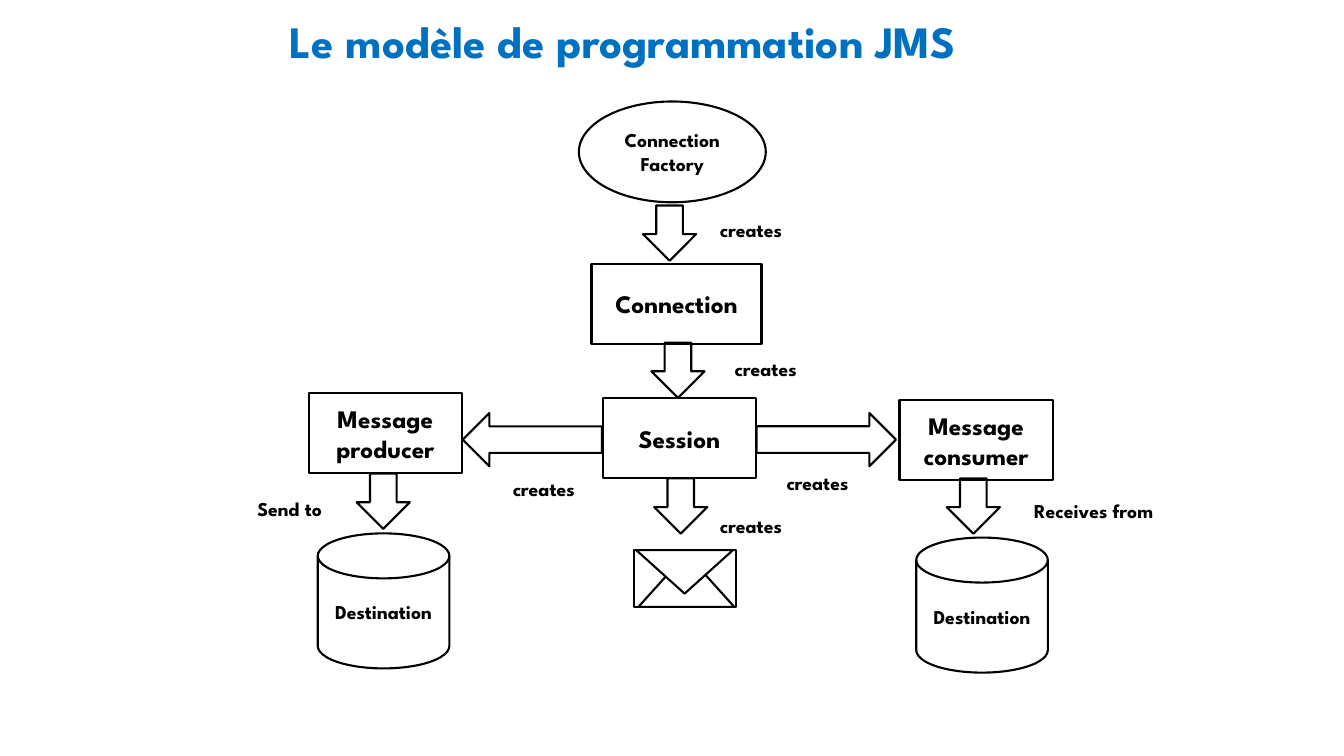
from dataclasses import dataclass

from pptx import Presentation
from pptx import util as u
from pptx.dml import color
from pptx.enum import shapes, text

SHAPE = shapes.MSO_SHAPE
ALIGN = text.PP_ALIGN


@dataclass(frozen=True)
class Theme:
    font: str = "League Spartan"
    black: str = "000000"
    blue: str = "0070C0"
    white: str = "FFFFFF"
    title: float = 32
    node: float = 18
    small: float = 14
    line: float = 1.5


T = Theme()


@dataclass(frozen=True)
class Figure:
    kind: SHAPE
    left: float
    top: float
    width: float
    height: float
    caption: str = ""
    size: float = T.node
    rotation: float = 0
    fill: str = ""


@dataclass(frozen=True)
class Label:
    caption: str
    left: float
    top: float
    width: float = 66
    height: float = 24.5
    size: float = T.small
    colour: str = T.black
    align: ALIGN = ALIGN.CENTER


def box(caption: str, left: float, top: float, width: float = 109.5) -> Figure:
    return Figure(SHAPE.RECTANGLE, left, top, width, 57, caption)


def destination(left: float, top: float) -> Figure:
    return Figure(SHAPE.FLOWCHART_MAGNETIC_DISK, left, top, 94, 96.5, "Destination", T.small)


def arrow(left: float, top: float, length: float = 39.5, rotation: float = 90) -> Figure:
    return Figure(SHAPE.RIGHT_ARROW, left, top, length, 38, rotation=rotation)


FIGURES = [
    # Objects of the programming model
    Figure(SHAPE.OVAL, 413.5, 72.5, 133.5, 72, "Connection Factory", T.small),
    box("Connection", 422.5, 188.5, 121.5),
    box("Session", 430.5, 284.5),
    box("Message producer", 220.5, 281),
    box("Message consumer", 642.5, 286),
    destination(227, 381),
    destination(654.5, 384),
    # Downward arrows
    *(arrow(x, y) for x, y in [(458.5, 147.5), (464.5, 245.5), (466.5, 342.5),
                               (254, 339), (675.5, 342.5)]),
    # Arrows from the session to both sides
    arrow(540.5, 295, 99.5, 0),
    arrow(330.5, 295, 99.5, 180),
    # Envelope: body, lower folds, flap
    Figure(SHAPE.FLOWCHART_PROCESS, 453, 393, 72.5, 40.5),
    Figure(SHAPE.ISOSCELES_TRIANGLE, 456, 395.5, 68.5, 38),
    Figure(SHAPE.ISOSCELES_TRIANGLE, 454.5, 393, 69, 31, rotation=180, fill=T.white),
]

LABELS = [
    Label("Le modèle de programmation JMS", 200, 6, 556, 46, T.title, T.blue, ALIGN.LEFT),
    *(Label("creates", x, y) for x, y in [(503.5, 152), (514, 251.5), (551, 332.5),
                                          (355.5, 337), (503.5, 363.5)]),
    Label("Receives from", 725.5, 353, 111.5),
    Label("Send to", 174, 351.5),
]


def write(tf, caption: str, size: float, colour: str, align: ALIGN) -> None:
    tf.word_wrap = True
    p = tf.paragraphs[0]
    p.alignment = align
    r = p.add_run()
    r.text = caption
    for name, value in {"name": T.font, "size": u.Pt(size), "bold": True}.items():
        setattr(r.font, name, value)
    r.font.color.rgb = color.RGBColor.from_string(colour)


def draw_figure(s, f: Figure) -> None:
    sp = s.shapes.add_shape(f.kind, *map(u.Pt, (f.left, f.top, f.width, f.height)))
    sp.rotation = f.rotation
    sp.shadow.inherit = False
    if f.fill:
        sp.fill.solid()
        sp.fill.fore_color.rgb = color.RGBColor.from_string(f.fill)
    else:
        sp.fill.background()
    sp.line.color.rgb = color.RGBColor.from_string(T.black)
    sp.line.width = u.Pt(T.line)
    if f.caption:
        sp.text_frame.vertical_anchor = text.MSO_ANCHOR.MIDDLE
        write(sp.text_frame, f.caption, f.size, T.black, ALIGN.CENTER)


def draw_label(s, label: Label) -> None:
    sp = s.shapes.add_textbox(*map(u.Pt, (label.left, label.top, label.width, label.height)))
    write(sp.text_frame, label.caption, label.size, label.colour, label.align)


def main() -> None:
    prs = Presentation()
    prs.slide_width, prs.slide_height = u.Pt(960), u.Pt(540)
    s = prs.slides.add_slide(prs.slide_layouts[6])
    for figure in FIGURES:
        draw_figure(s, figure)
    for label in LABELS:
        draw_label(s, label)
    prs.save("out.pptx")


if __name__ == "__main__":
    main()
